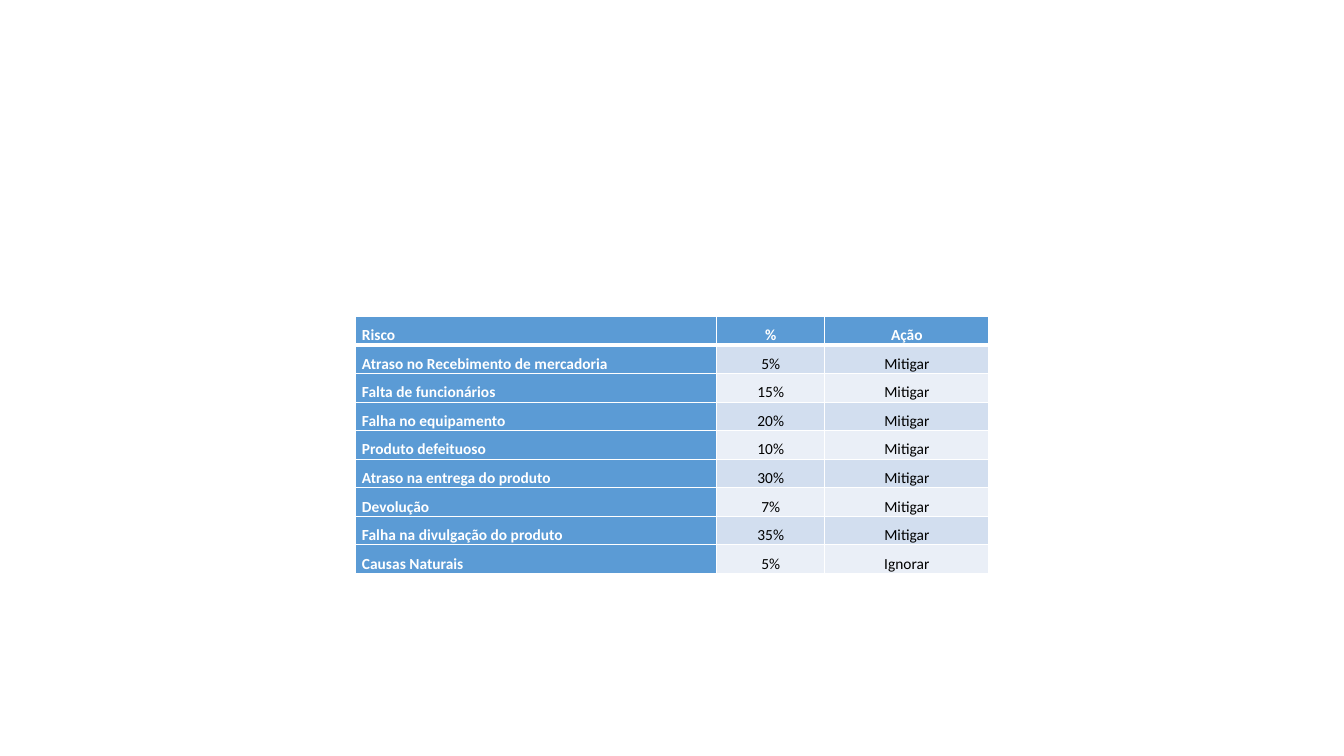
from lxml import etree
from pptx import Presentation
from pptx.dml.color import RGBColor
from pptx.enum.text import PP_ALIGN
from pptx.oxml.ns import qn
from pptx.util import Inches, Pt

CENTER = PP_ALIGN.CENTER
JUSTIFY = PP_ALIGN.JUSTIFY
BLANK_LAYOUT = 6
COLORS = {
    "header": "5B9BD5",
    "odd_row": "D2DEEF",
    "even_row": "EAEFF7",
    "white": "FFFFFF",
    "black": "000000",
}
COLUMN_WIDTHS = [3.59, 1.07, 1.63]
MARGINS = {"margin_left": 0.07, "margin_right": 0.07, "margin_top": 0, "margin_bottom": 0}
RISKS = [
    ("Risco", "%", "Ação"),
    ("Atraso no Recebimento de mercadoria", "5%", "Mitigar"),
    ("Falta de funcionários", "15%", "Mitigar"),
    ("Falha no equipamento", "20%", "Mitigar"),
    ("Produto defeituoso", "10%", "Mitigar"),
    ("Atraso na entrega do produto", "30%", "Mitigar"),
    ("Devolução", "7%", "Mitigar"),
    ("Falha na divulgação do produto", "35%", "Mitigar"),
    ("Causas Naturais", "5%", "Ignorar"),
]


def add_border(cell, side, width):
    line = etree.SubElement(cell._tc.get_or_add_tcPr(), qn(f"a:{side}"), w=str(Pt(width)))
    fill = etree.SubElement(line, qn("a:solidFill"))
    etree.SubElement(fill, qn("a:srgbClr"), val=COLORS["white"])


presentation = Presentation()
presentation.slide_width = Inches(13.33)
presentation.slide_height = Inches(7.5)
slide = presentation.slides.add_slide(presentation.slide_layouts[BLANK_LAYOUT])

risk_table = slide.shapes.add_table(
    len(RISKS), len(COLUMN_WIDTHS), Inches(3.52), Inches(3.14), Inches(6.29), Inches(2.22)
).table
for column, width in zip(risk_table.columns, COLUMN_WIDTHS):
    column.width = Inches(width)

for row_index, risk in enumerate(RISKS):
    for column_index, text in enumerate(risk):
        cell = risk_table.cell(row_index, column_index)
        is_heading = row_index == 0 or column_index == 0
        band = "odd_row" if row_index % 2 else "even_row"

        borders = {
            "lnL": 1,
            "lnR": 1,
            "lnT": 3 if row_index == 1 else 1,
            "lnB": 3 if row_index == 0 else 1,
        }
        for side, width in borders.items():
            add_border(cell, side, width)
        for margin, size in MARGINS.items():
            setattr(cell, margin, Inches(size))
        cell.fill.solid()
        cell.fill.fore_color.rgb = RGBColor.from_string(COLORS["header" if is_heading else band])

        paragraph = cell.text_frame.paragraphs[0]
        paragraph.alignment = CENTER if column_index else JUSTIFY
        paragraph.line_spacing = 1.5
        run = paragraph.add_run()
        run.text = text
        font_format = {"name": "Calibri", "size": Pt(11), "bold": is_heading}
        for attribute, value in font_format.items():
            setattr(run.font, attribute, value)
        run.font.color.rgb = RGBColor.from_string(COLORS["white" if is_heading else "black"])

presentation.save("out.pptx")
